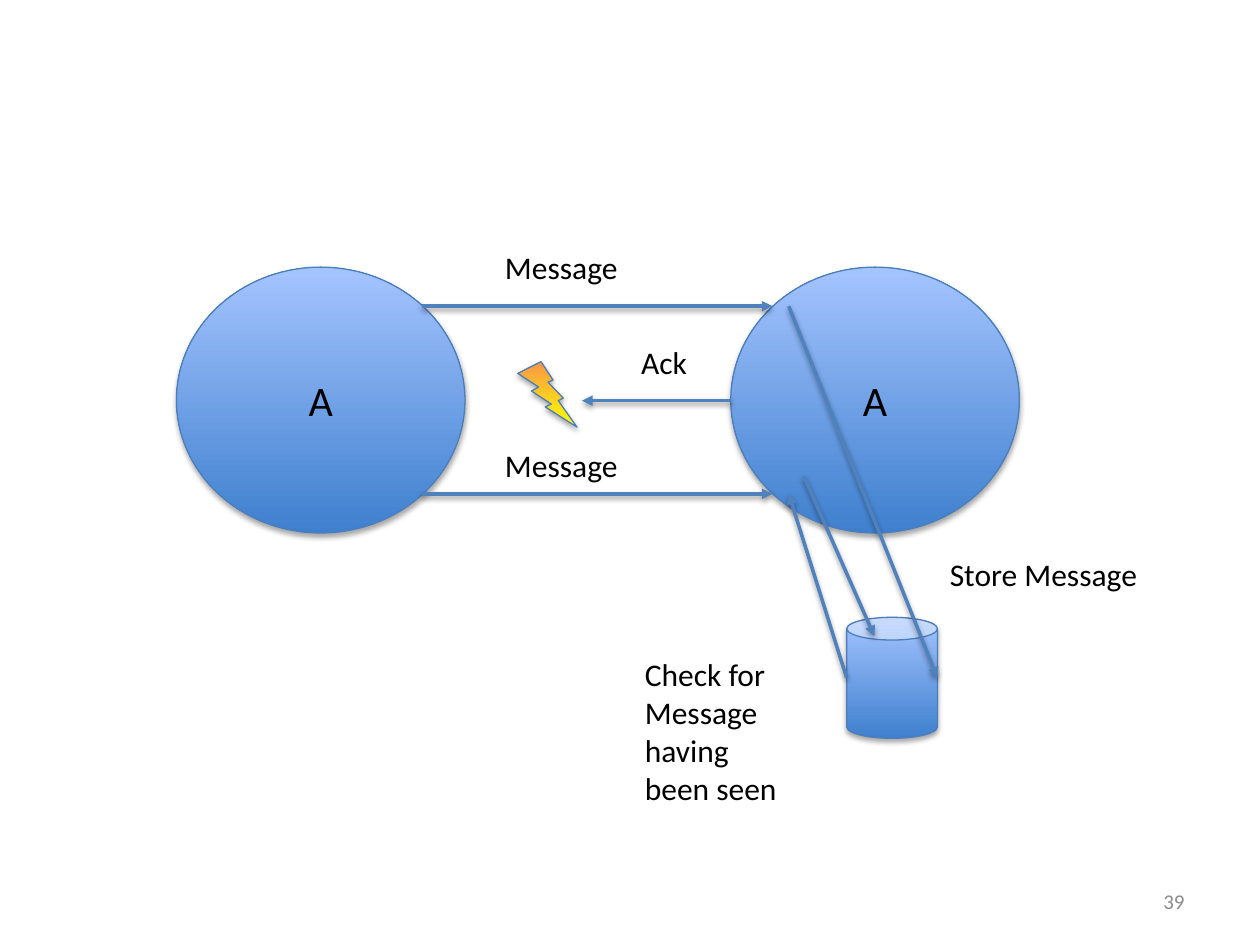
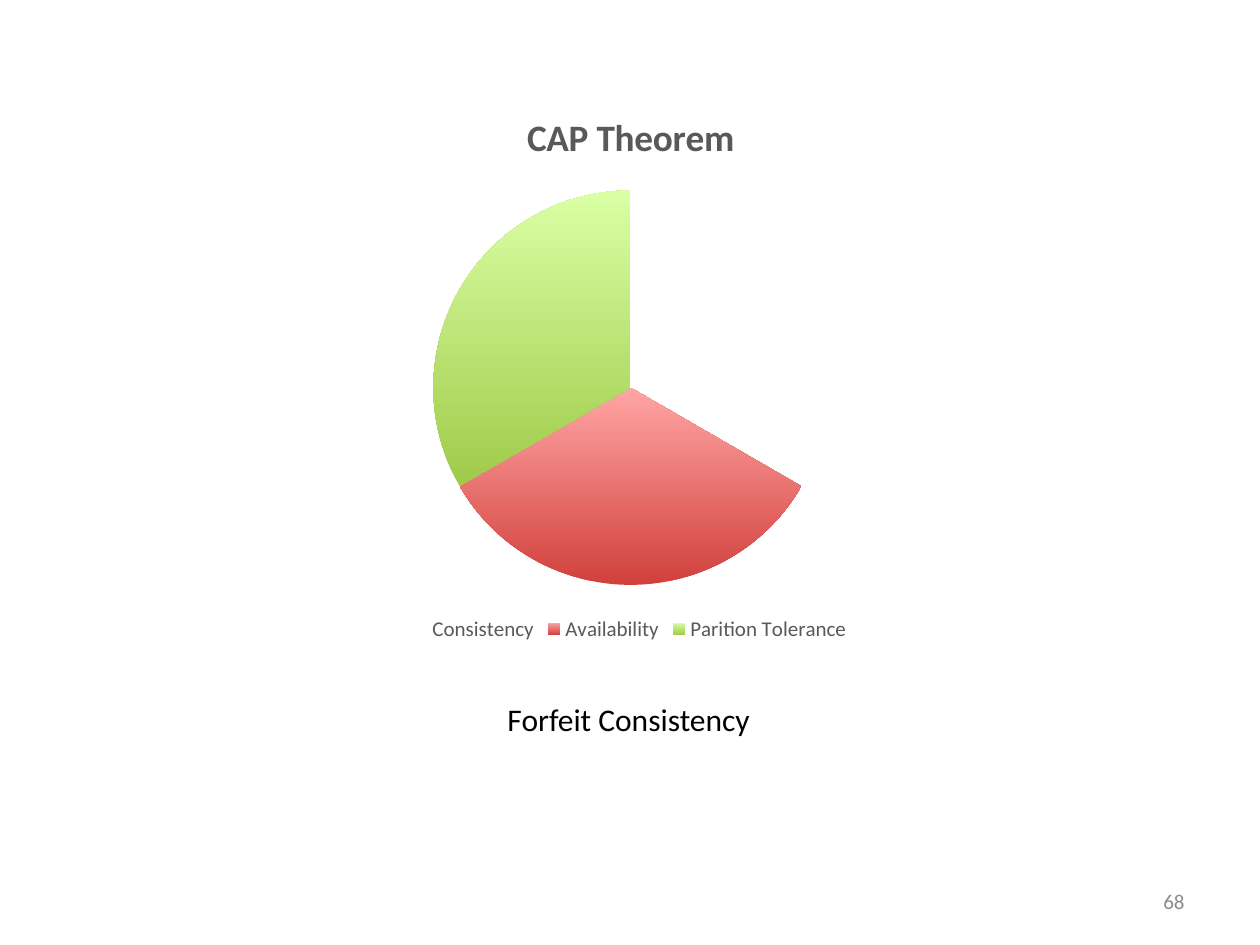
from lxml import etree
from pptx import Presentation
from pptx import util as u
from pptx.chart.data import CategoryChartData
from pptx.dml.color import RGBColor
from pptx.enum import chart as ch, shapes, text
from pptx.oxml.ns import qn

FONT = "Calibri"
COLORS = {"ink": "000000", "muted": "595959", "page": "8C8C8C",
          "outline": "4B7EBC", "arrow": "4F81BD"}
# Each gradient runs from its bottom colour to its top colour.
GRADIENTS = {"blue": ("3F80CE", "A4C4FF"), "bolt": ("FFFF00", "F79646"),
             "red": ("D1403C", "FFA6A5"), "green": ("A0CA4A", "DAFFA5")}

# Message exchange
PAGES = {"exchange": "39", "theorem": "68"}
NODE_Y, NODE_W, NODE_H = 2.12, 2.29, 2.11
NODES = [("A", 1.4), ("A", 5.8)]
SEND_YS = (2.43, 3.92)
ACK_Y = 3.18
MESSAGE_ARROWS = [((3.35, y), (6.13, y)) for y in SEND_YS]
MESSAGE_ARROWS.insert(1, ((5.8, ACK_Y), (4.62, ACK_Y)))
STORE = (6.72, 4.9, 0.72, 0.96)
STORE_MIDDLE = 5.38
STORE_ARROWS = [((6.38, 3.78), (6.94, 5.05)),
                ((6.26, SEND_YS[0]), (STORE[0] + STORE[2], STORE_MIDDLE)),
                ((STORE[0], STORE_MIDDLE), (6.26, SEND_YS[1]))]
LABELS = [("Message", (3.91, 1.92, 1.67, 0.4), True),
          ("Message", (3.91, 3.49, 1.67, 0.4), True),
          ("Ack", (4.99, 2.67, 0.8, 0.4), True),
          ("Check for Message having been seen", (5.02, 5.15, 1.3, 1.31), True),
          ("Store Message", (7.44, 4.36, 1.7, 0.4), False)]
BOLT = (4.11, 2.87, 0.47, 0.52)

# CAP theorem
THEOREM = "CAP Theorem"
SHARES = [("Consistency", 33, None), ("Availability", 33, "red"),
          ("Parition Tolerance", 33, "green")]
CHOICE = "Forfeit Consistency"


def box(at):
    return [u.Inches(length) for length in at]


def rgb(name):
    return RGBColor.from_string(COLORS[name])


def style_font(font, size, color="ink", bold=False):
    font.name, font.size, font.bold = FONT, u.Pt(size), bold
    font.color.rgb = rgb(color)


def fill_gradient(fill, name):
    fill.gradient()
    fill.gradient_angle = 90
    for stop, color in zip(fill.gradient_stops, GRADIENTS[name]):
        stop.color.rgb = RGBColor.from_string(color)
    fill.gradient_stops[0].position, fill.gradient_stops[1].position = 0, 1


def drop_shadow(part, distance, opacity):
    """Put a soft shadow straight below a shape or connector."""
    effects = etree.SubElement(part._element.spPr, qn("a:effectLst"))
    shadow = etree.SubElement(effects, qn("a:outerShdw"), blurRad="40000",
                              dist=str(u.Pt(distance)), dir="5400000",
                              rotWithShape="0")
    color = etree.SubElement(shadow, qn("a:srgbClr"), val=COLORS["ink"])
    etree.SubElement(color, qn("a:alpha"), val=str(opacity * 1000))


def write(frame, words, size, align, color="ink"):
    frame.text = words
    paragraph = frame.paragraphs[0]
    paragraph.alignment = align
    style_font(paragraph.runs[0].font, size, color)


def add_label(slide, words, at, wrap=True, size=18, align=text.PP_ALIGN.LEFT,
              color="ink"):
    label = slide.shapes.add_textbox(*box(at))
    label.text_frame.word_wrap = wrap
    write(label.text_frame, words, size, align, color)
    return label


def add_solid(slide, kind, at, gradient, words=""):
    solid = slide.shapes.add_shape(kind, *box(at))
    fill_gradient(solid.fill, gradient)
    solid.line.color.rgb = rgb("outline")
    solid.line.width = u.Pt(0.75)
    drop_shadow(solid, 1.8, 35)
    if words:
        solid.text_frame.vertical_anchor = text.MSO_ANCHOR.MIDDLE
        write(solid.text_frame, words, 24, text.PP_ALIGN.CENTER)


def add_arrow(slide, start, end):
    arrow = slide.shapes.add_connector(shapes.MSO_CONNECTOR.STRAIGHT,
                                       *box(start + end))
    arrow.line.color.rgb = rgb("arrow")
    arrow.line.width = u.Pt(2)
    etree.SubElement(arrow.line._get_or_add_ln(), qn("a:tailEnd"),
                     type="triangle")
    drop_shadow(arrow, 1.6, 38)


def add_page(deck, number):
    slide = deck.slides.add_slide(deck.slide_layouts[6])
    page = add_label(slide, number, (7.17, 6.95, 2.33, 0.4), size=12,
                     align=text.PP_ALIGN.RIGHT, color="page")
    page.text_frame.vertical_anchor = text.MSO_ANCHOR.MIDDLE
    return slide


def build_exchange(deck):
    slide = add_page(deck, PAGES["exchange"])
    for name, left in NODES:
        add_solid(slide, shapes.MSO_SHAPE.OVAL,
                  (left, NODE_Y, NODE_W, NODE_H), "blue", name)
    for start, end in MESSAGE_ARROWS:
        add_arrow(slide, start, end)
    for words, at, wrap in LABELS:
        add_label(slide, words, at, wrap)
    add_solid(slide, shapes.MSO_SHAPE.LIGHTNING_BOLT, BOLT, "bolt")
    add_solid(slide, shapes.MSO_SHAPE.CAN, STORE, "blue")
    for start, end in STORE_ARROWS:
        add_arrow(slide, start, end)


def build_theorem(deck):
    slide = add_page(deck, PAGES["theorem"])
    data = CategoryChartData()
    data.categories = [name for name, _, _ in SHARES]
    data.add_series(THEOREM, [share for _, share, _ in SHARES])
    pie = slide.shapes.add_chart(ch.XL_CHART_TYPE.PIE,
                                 *box((1.67, 0.69, 6.67, 4.44)), data).chart
    style_font(pie.font, 10)
    pie.has_title = True
    write(pie.chart_title.text_frame, THEOREM, 21.3, text.PP_ALIGN.CENTER,
          "muted")
    pie.chart_title.text_frame.paragraphs[0].runs[0].font.bold = True
    pie.chart_title.include_in_layout = False
    pie.has_legend = True
    pie.legend.position = ch.XL_LEGEND_POSITION.BOTTOM
    pie.legend.include_in_layout = False
    style_font(pie.legend.font, 12, "muted")
    plot = pie.plots[0]
    plot.vary_by_categories = True
    for index, (_, _, gradient) in enumerate(SHARES):
        look = plot.series[0].points[index].format
        look.line.fill.background()
        if gradient:
            fill_gradient(look.fill, gradient)
        else:
            look.fill.background()
    add_label(slide, CHOICE, (1.82, 5.51, 6.34, 0.4),
              align=text.PP_ALIGN.CENTER)


def main():
    deck = Presentation()
    deck.slide_width, deck.slide_height = u.Inches(10), u.Inches(7.5)
    build_exchange(deck)
    build_theorem(deck)
    deck.save("out.pptx")


if __name__ == "__main__":
    main()
